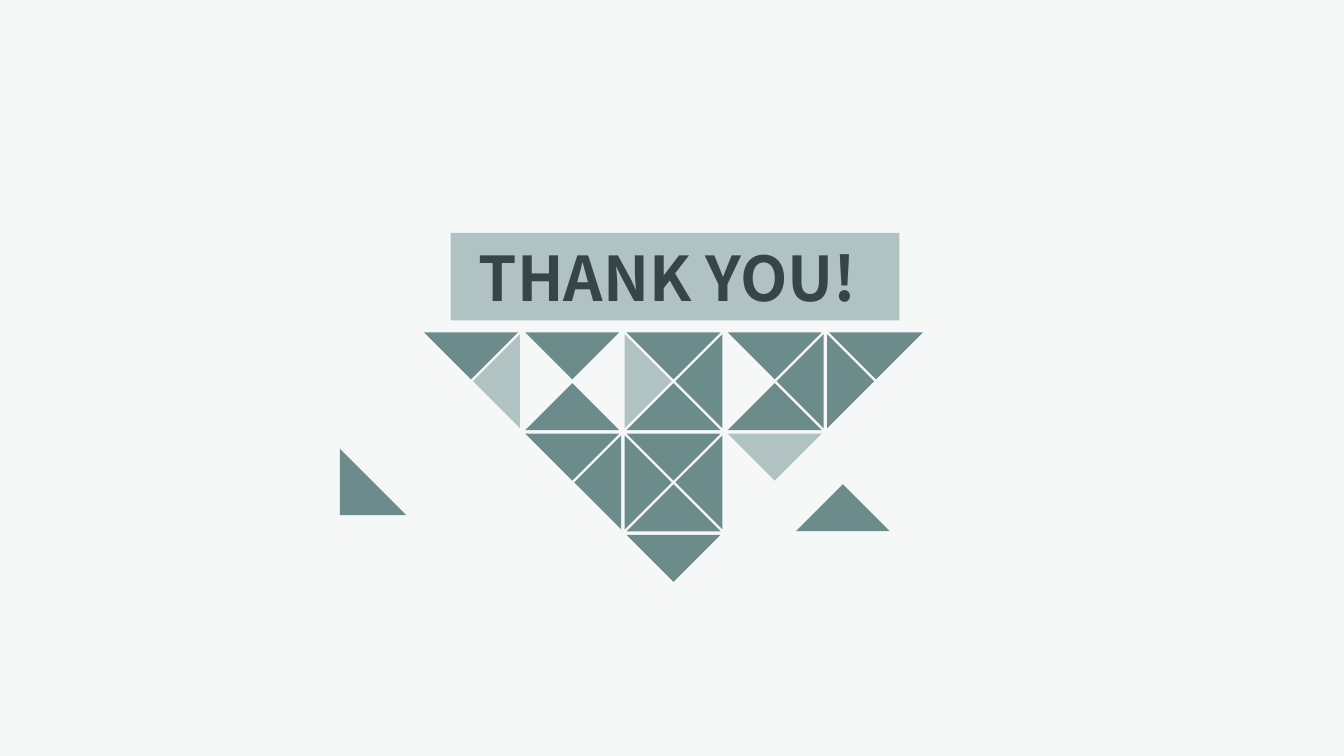
from pptx import Presentation
from pptx.dml.color import RGBColor
from pptx.enum.shapes import MSO_SHAPE
from pptx.enum.text import MSO_ANCHOR, MSO_AUTO_SIZE, PP_ALIGN
from pptx.util import Inches, Pt

RECTANGLE = MSO_SHAPE.RECTANGLE
TRIANGLE = MSO_SHAPE.RIGHT_TRIANGLE
TOP = MSO_ANCHOR.TOP
FIT_SHAPE = MSO_AUTO_SIZE.SHAPE_TO_FIT_TEXT
CENTER = PP_ALIGN.CENTER

PAPER = RGBColor(0xF6, 0xF8, 0xF8)
TEAL = RGBColor(0x6C, 0x8B, 0x8B)
PALE = RGBColor(0xB1, 0xC2, 0xC2)
INK = RGBColor(0x36, 0x45, 0x45)
FONT = "Noto Sans CJK SC"

SIDE = 0.66  # leg of every triangle
OFFSET = 0.485  # from a cell's centre to a triangle's centre

# Where the right angle points: rotation, then direction from the cell's centre
POINTING = {
    "down": (315, 0, -1),
    "left": (45, 1, 0),
    "up": (135, 0, 1),
    "right": (225, -1, 0),
}

# Triangles of the mosaic: column, row, pointing, colour
TILES = (
    [(column, 0, "down", TEAL) for column in range(5)]
    + [(0, 0, "left", PALE), (2, 0, "right", PALE)]
    + [(column, 0, "left", TEAL) for column in (2, 3)]
    + [(4, 0, "right", TEAL)]
    + [(column, 0, "up", TEAL) for column in (3, 2, 1)]
    + [(1, 1, "down", TEAL), (2, 1, "down", TEAL), (3, 1, "down", PALE)]
    + [(1, 1, "left", TEAL), (2, 1, "right", TEAL), (2, 1, "left", TEAL)]
    + [(2, 1, "up", TEAL), (2, 2, "down", TEAL)]
)


def add_plain_shape(shapes, kind, box, color, rotation=0):
    shape = shapes.add_shape(kind, *(Inches(length) for length in box))
    shape.shadow.inherit = False
    shape.fill.solid()
    shape.fill.fore_color.rgb = color
    shape.line.fill.background()
    shape.rotation = rotation
    return shape


def add_triangle(shapes, center_x, center_y, color, rotation):
    box = (center_x - SIDE / 2, center_y - SIDE / 2, SIDE, SIDE)
    return add_plain_shape(shapes, TRIANGLE, box, color, rotation)


def add_text(shapes, box, text, size, color, bold=False, align=CENTER):
    text_box = shapes.add_textbox(*(Inches(length) for length in box))
    frame = text_box.text_frame
    frame.word_wrap = True
    frame.auto_size = FIT_SHAPE
    frame.vertical_anchor = TOP
    para = frame.paragraphs[0]
    para.alignment = align
    span = para.add_run()
    span.text = text
    span.font.name = FONT
    span.font.size = Pt(size)
    span.font.bold = bold
    span.font.color.rgb = color
    return text_box


def add_mosaic(page, box):
    """Square cells, five to a row, each cut into four triangles."""
    left, top, width, _ = box
    cell = width / 5
    group = page.shapes.add_group_shape()
    for column, row, pointing, color in TILES:
        rotation, step_x, step_y = POINTING[pointing]
        center_x = left + (column + 0.5) * cell + step_x * OFFSET
        center_y = top + (row + 0.5) * cell + step_y * OFFSET
        add_triangle(group.shapes, center_x, center_y, color, rotation)


def add_banner(page, box):
    """Pale band with the closing words on it."""
    left, top, width, height = box
    add_plain_shape(page.shapes, RECTANGLE, box, PALE)
    text_area = (left - 0.69, top + 0.02, width + 1.24, height - 0.03)
    add_text(page.shapes, text_area, "THANK YOU!", size=44, color=INK, bold=True)


def build_closing_page(deck):
    page = deck.slides.add_slide(deck.slide_layouts[6])
    page.background.fill.solid()
    page.background.fill.fore_color.rgb = PAPER

    # Loose triangle on the right, then the mosaic
    add_triangle(page.shapes, 8.36, 5.27, TEAL, rotation=135)
    add_mosaic(page, (4.17, 3.28, 5.02, 3.01))

    # Loose triangle on the left
    add_triangle(page.shapes, 3.7, 4.78, TEAL, rotation=0)

    add_banner(page, (4.47, 2.31, 4.45, 0.87))


def main():
    deck = Presentation()
    deck.slide_width = Inches(13.33)
    deck.slide_height = Inches(7.5)
    build_closing_page(deck)
    deck.save("out.pptx")


if __name__ == "__main__":
    main()
